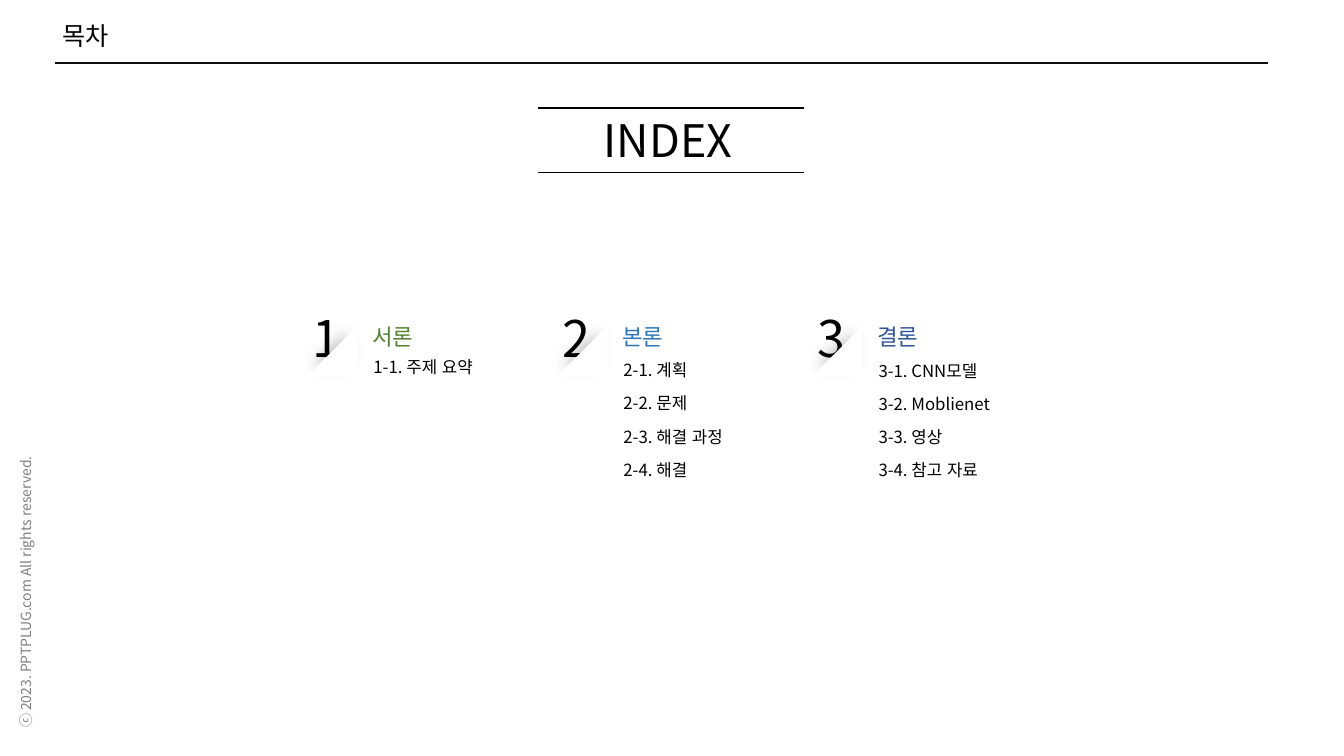
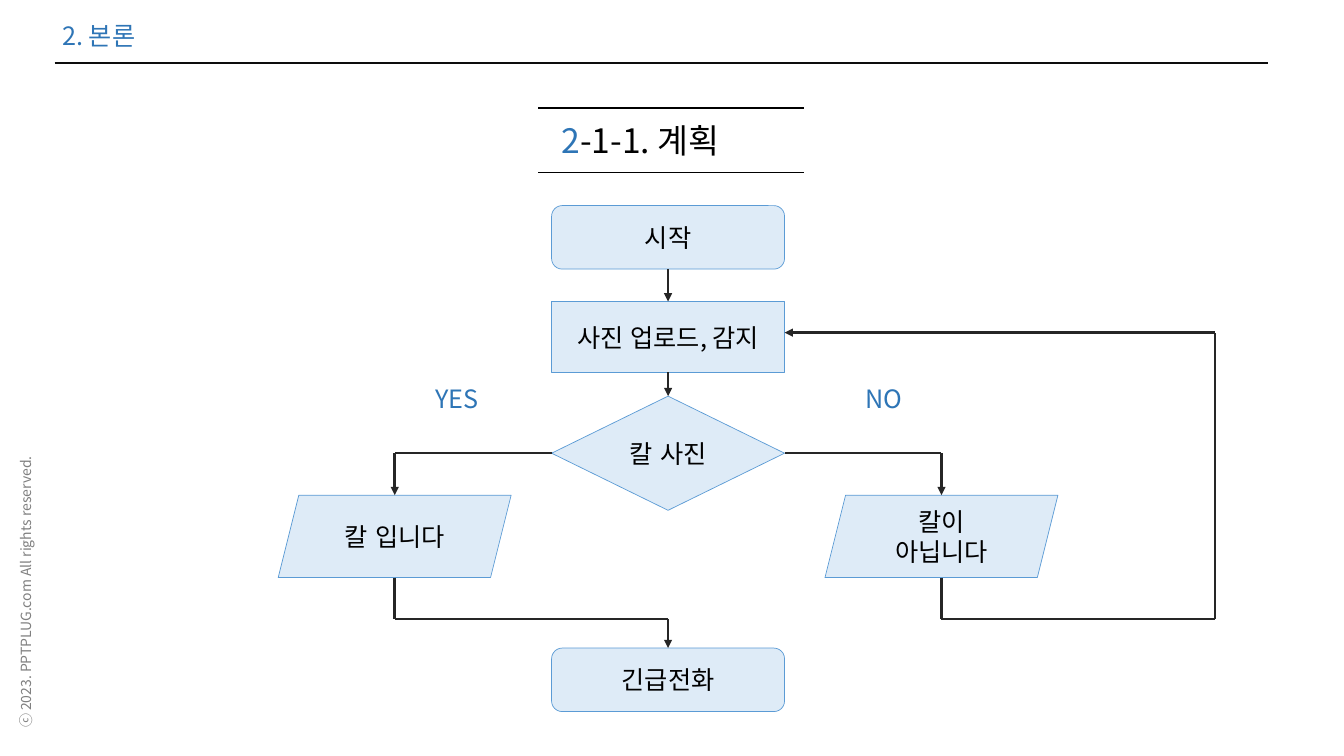
import lxml.etree
import pptx
import pptx.dml.color
import pptx.enum.lang
import pptx.enum.shapes
import pptx.enum.text
import pptx.oxml.ns
import pptx.util

SHAPE = pptx.enum.shapes.MSO_SHAPE
ALIGN = pptx.enum.text.PP_ALIGN
qn = pptx.oxml.ns.qn
FONT = "Noto Sans CJK KR"
COLORS = {
    name: pptx.dml.color.RGBColor.from_string(value)
    for name, value in {
        "black": "000000", "white": "FFFFFF", "gray": "808080",
        "rule": "0D0D0D", "arrow": "262626", "green": "548235",
        "blue": "2E75B6", "navy": "2F5597", "node": "DEEBF7",
        "edge": "5B9BD5",
    }.items()
}

deck = pptx.Presentation()
deck.slide_width = pptx.util.Inches(13.33)
deck.slide_height = pptx.util.Inches(7.5)
COLUMN = deck.slide_width / 100
ROW = deck.slide_height / 100


def add_text(page, area, paragraphs, size, kind=None, align=ALIGN.LEFT):
    left, top, width, height = area
    place = int(left * COLUMN), int(top * ROW), int(width * COLUMN), int(height * ROW)
    box = page.shapes.add_shape(kind, *place) if kind else page.shapes.add_textbox(*place)
    frame = box.text_frame
    frame.word_wrap = True
    font_format = {
        "name": FONT,
        "size": pptx.util.Pt(size),
        "language_id": pptx.enum.lang.MSO_LANGUAGE_ID.KOREAN,
    }
    for index, parts in enumerate(paragraphs):
        para = frame.add_paragraph() if index else frame.paragraphs[0]
        para.alignment = align
        for text, color in parts:
            span = para.add_run()
            span.text = text
            for key, value in font_format.items():
                setattr(span.font, key, value)
            span.font.color.rgb = COLORS[color]
            east = lxml.etree.SubElement(span._r.get_or_add_rPr(), qn("a:ea"))
            east.set("typeface", FONT)
    return box


def draw_path(page, points, color, weight, arrow=False):
    for start, end in zip(points, points[1:]):
        line = page.shapes.add_connector(
            pptx.enum.shapes.MSO_CONNECTOR.STRAIGHT,
            int(start[0] * COLUMN), int(start[1] * ROW),
            int(end[0] * COLUMN), int(end[1] * ROW))
        line.line.width = pptx.util.Pt(weight)
        line.line.color.rgb = COLORS[color]
        properties = line._element.spPr
        if arrow and end == points[-1]:
            head = lxml.etree.SubElement(properties.find(qn("a:ln")), qn("a:tailEnd"))
            head.set("type", "triangle")
        lxml.etree.SubElement(properties, qn("a:effectLst"))


pages = []
for title, title_color, heading, heading_size, heading_area in (
    ("목차", "black", [("INDEX", "black")], 32, (44.18, 14.27, 11.4, 8.53)),
    ("2. 본론", "blue", [("2", "blue"), ("-1-1. 계획", "black")], 24,
     (41.05, 15.2, 17.33, 6.67)),
):
    page = deck.slides.add_slide(deck.slide_layouts[6])
    pages.append(page)
    draw_path(page, [(4.07, 8.37), (94.37, 8.37)], "rule", 1.75)
    footer = add_text(
        page, (-11.45, 72, 26.78, 3.6),
        [[("ⓒ 2023. PPTPLUG.com All rights reserved.", "gray")]], 10)
    footer.rotation = 270
    add_text(page, (3.9, 2, 53.2, 5.33), [[(title, title_color)]], 18)
    add_text(page, heading_area, [heading], heading_size)
    for height in (14.27, 22.8):
        draw_path(page, [(40.06, height), (59.83, height)], "black", 1)
index_page, flow_page = pages

sections = (
    (22.5, "서론", "green", 46.55, ["1-1. 주제 요약"]),
    (41.1, "본론", "blue", 46.95,
     ["2-1. 계획", "2-2. 문제", "2-3. 해결 과정", "2-4. 해결"]),
    (60.08, "결론", "navy", 47,
     ["3-1. CNN모델", "3-2. Moblienet", "3-3. 영상", "3-4. 참고 자료"]),
)
for number, (left, name, color, first_row, items) in enumerate(sections, 1):
    add_text(index_page, (left, 40, 5, 9.47), [[(str(number), "black")]], 36)
    for offset, top, side, shaded in ((3.6, 48.93, 2.55, True), (0.28, 43.07, 3.83, False)):
        fold = index_page.shapes.add_shape(
            SHAPE.RIGHT_TRIANGLE, int((left + offset) * COLUMN), int(top * ROW),
            int(side * COLUMN), int(side * COLUMN))
        fold.rotation = 270
        fold.fill.solid()
        fold.fill.fore_color.rgb = COLORS["white"]
        fold.line.fill.background()
        fold.shadow.inherit = False
        if shaded:
            effects = fold._element.spPr.find(qn("a:effectLst"))
            shadow = lxml.etree.SubElement(effects, qn("a:outerShdw"))
            for key, value in {
                "blurRad": pptx.util.Pt(12), "dist": pptx.util.Pt(38),
                "dir": 225 * 60000, "algn": "br", "rotWithShape": 0,
            }.items():
                shadow.set(key, str(value))
            tint = lxml.etree.SubElement(shadow, qn("a:srgbClr"))
            tint.set("val", str(COLORS["black"]))
            lxml.etree.SubElement(tint, qn("a:alpha")).set("val", "31000")
    add_text(index_page, (left + 4.45, 42.13, 6, 4.93), [[(name, color)]], 16)
    for index, item in enumerate(items):
        add_text(index_page, (left + 4.55, first_row + index * 4.4, 11, 4),
                 [[(item, "black")]], 12)

NODE_WIDTH = 17.33
YES_LANE, MAIN_LANE, NO_LANE, RETURN_LANE = [49.71 + 20.34 * step for step in (-1, 0, 1, 2)]
LEFT_SIDE, RIGHT_SIDE = MAIN_LANE - NODE_WIDTH / 2, MAIN_LANE + NODE_WIDTH / 2
for kind, lane, top, height, lines in (
    (SHAPE.ROUNDED_RECTANGLE, MAIN_LANE, 27.2, 8.4, ["시작"]),
    (SHAPE.RECTANGLE, MAIN_LANE, 39.87, 9.4, ["사진 업로드, 감지"]),
    (SHAPE.FLOWCHART_DECISION, MAIN_LANE, 52.4, 15.1, ["칼 사진"]),
    (SHAPE.PARALLELOGRAM, YES_LANE, 65.5, 10.9, ["칼 입니다"]),
    (SHAPE.PARALLELOGRAM, NO_LANE, 65.5, 10.9, ["칼이", "아닙니다"]),
    (SHAPE.ROUNDED_RECTANGLE, MAIN_LANE, 85.73, 8.4, ["긴급전화"]),
):
    node = add_text(
        flow_page, (lane - NODE_WIDTH / 2, top, NODE_WIDTH, height),
        [[(line, "black")] for line in lines], 18, kind, ALIGN.CENTER)
    node.shadow.inherit = False
    node.fill.solid()
    node.fill.fore_color.rgb = COLORS["node"]
    node.line.color.rgb = COLORS["edge"]
    node.line.width = pptx.util.Pt(0.5)
    node.text_frame.vertical_anchor = pptx.enum.text.MSO_ANCHOR.MIDDLE

for left, answer in ((31.66, "YES"), (63.67, "NO")):
    add_text(flow_page, (left, 50, 6.38, 5.33), [[(answer, "blue")]], 18)

for points in (
    [(MAIN_LANE, 35.6), (MAIN_LANE, 39.87)],
    [(MAIN_LANE, 49.27), (MAIN_LANE, 52.4)],
    [(LEFT_SIDE, 59.95), (YES_LANE, 59.95), (YES_LANE, 65.5)],
    [(RIGHT_SIDE, 59.95), (NO_LANE, 59.95), (NO_LANE, 65.5)],
    [(YES_LANE, 76.4), (YES_LANE, 81.87), (MAIN_LANE, 81.87), (MAIN_LANE, 85.73)],
    [(NO_LANE, 76.4), (NO_LANE, 81.87), (RETURN_LANE, 81.87),
     (RETURN_LANE, 44), (RIGHT_SIDE, 44)],
):
    draw_path(flow_page, points, "arrow", 1.75, arrow=True)

deck.save("out.pptx")
